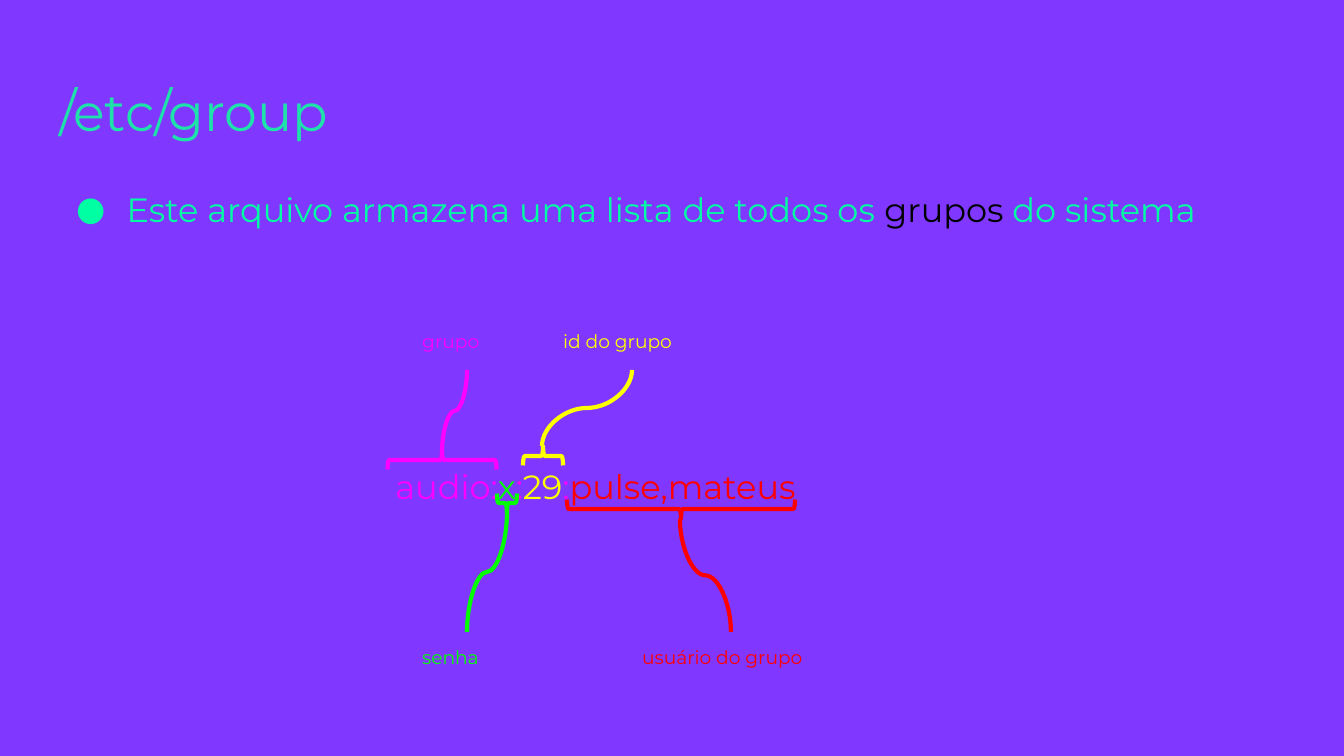
"""Build the slide that explains the fields of an /etc/group entry."""
from dataclasses import dataclass

from lxml.etree import SubElement
from pptx import Presentation
from pptx.dml.color import RGBColor
from pptx.enum.shapes import MSO_CONNECTOR, MSO_SHAPE
from pptx.enum.text import MSO_ANCHOR, MSO_AUTO_SIZE, PP_ALIGN
from pptx.oxml.ns import qn
from pptx.util import Emu, Pt

EMU_PER_PX = 914400 / 134.4
FONT = "Montserrat"
COLORS = {
    "background": "8037FF",
    "title": "1EE2AA",
    "body": "00FFA2",
    "emphasis": "000000",
    "group": "FF00FF",
    "password": "00FF00",
    "id": "FFFF00",
    "users": "FF0000",
}
BRACE_DEPTH = 19
LABEL_HEIGHT = 54
LABEL_TOP_ABOVE = 316
LABEL_TOP_BELOW = 632


@dataclass(frozen=True)
class Field:
    """One annotated field: its label, brace and curved connector."""
    color: str
    label: str
    label_left: int
    label_width: int
    above: bool
    brace_x: int
    brace_y: int
    brace_span: int
    curve_top: tuple[int, int]
    curve_bottom: tuple[int, int]


FIELDS = [
    Field("group", "grupo", 409, 117, True, 442, 460, 109, (467, 370), (442, 452)),
    Field("id", "id do grupo", 550, 163, True, 543, 456, 40, (632, 370), (542, 446)),
    Field("password", "senha", 409, 117, False, 507, 503, 20, (507, 512), (467, 632)),
    Field("users", "usuário do grupo", 629, 204, False, 681, 509, 228, (680, 519), (731, 632)),
]
SENTENCE = [
    ("Este arquivo armazena uma lista de todos os ", "body"),
    ("grupos", "emphasis"),
    (" do sistema", "body"),
]
ENTRY = [
    ("audio:", "group"),
    ("x", "password"),
    (":", "group"),
    ("29", "id"),
    (":", "group"),
    ("pulse,mateus", "users"),
]


def px(value: float) -> Emu:
    """Turn pixels into EMU."""
    return Emu(round(value * EMU_PER_PX))


def rgb(name: str) -> RGBColor:
    """Look up a named colour."""
    return RGBColor.from_string(COLORS[name])


def format_run(run, size: int, color: str) -> None:
    """Set the font, size and colour of a run."""
    run.font.name = FONT
    run.font.size = Pt(size)
    run.font.color.rgb = rgb(color)


def place(shape, left: int, top: int, width: int, height: int) -> None:
    """Move a text shape and give it even insets."""
    shape.left, shape.top, shape.width, shape.height = map(px, (left, top, width, height))
    frame = shape.text_frame
    frame.word_wrap = True
    frame.auto_size = MSO_AUTO_SIZE.NONE
    frame.vertical_anchor = MSO_ANCHOR.TOP
    frame.margin_left = frame.margin_right = frame.margin_top = frame.margin_bottom = Pt(7.2)


def write_runs(paragraph, parts: list[tuple[str, str]], margin: int, indent: int, before: int) -> None:
    """Fill a body paragraph with coloured runs and set its spacing and indents."""
    for text, color in parts:
        run = paragraph.add_run()
        run.text = text
        format_run(run, 18, color)
    paragraph.alignment = PP_ALIGN.LEFT
    paragraph.line_spacing = 1.15
    paragraph.space_before = Pt(before)
    properties = paragraph._p.get_or_add_pPr()
    properties.set("marL", str(Pt(margin)))
    properties.set("indent", str(Pt(indent)))


def fill_body(body) -> None:
    """Write the bulleted sentence and the sample entry."""
    place(body, 46, 169, 1253, 503)
    sentence = body.text_frame.paragraphs[0]
    write_runs(sentence, SENTENCE, 36, -27, 0)
    properties = sentence._p.get_or_add_pPr()
    bullet_color = SubElement(properties, qn("a:buClr"))
    SubElement(bullet_color, qn("a:srgbClr"), val=COLORS["body"])
    SubElement(properties, qn("a:buFont"), typeface=FONT)
    SubElement(properties, qn("a:buChar"), char="●")
    entry = body.text_frame.add_paragraph()
    write_runs(entry, ENTRY, 144, 36, 124)
    SubElement(entry._p.get_or_add_pPr(), qn("a:buNone"))


def draw_brace(slide, field: Field) -> None:
    """Draw the brace that spans a field, pointing to its label."""
    left = field.brace_x - BRACE_DEPTH / 2
    top = field.brace_y - field.brace_span / 2
    brace = slide.shapes.add_shape(
        MSO_SHAPE.LEFT_BRACE, px(left), px(top), px(BRACE_DEPTH), px(field.brace_span))
    brace.rotation = 90 if field.above else 270
    brace.shadow.inherit = False
    brace.fill.background()
    brace.line.color.rgb = rgb(field.color)
    brace.line.width = Pt(2.25)


def draw_label(slide, field: Field) -> None:
    """Draw the label of a field."""
    label = slide.shapes.add_textbox(0, 0, 0, 0)
    top = LABEL_TOP_ABOVE if field.above else LABEL_TOP_BELOW
    place(label, field.label_left, top, field.label_width, LABEL_HEIGHT)
    label.text_frame.text = field.label
    format_run(label.text_frame.paragraphs[0].runs[0], 10, field.color)


def draw_curve(slide, field: Field) -> None:
    """Draw a curve that leaves both ends vertically, by a quarter turn about its centre."""
    (top_x, top_y), (bottom_x, bottom_y) = field.curve_top, field.curve_bottom
    center_x, center_y = (top_x + bottom_x) / 2, (top_y + bottom_y) / 2
    half_length, half_shift = (bottom_y - top_y) / 2, (bottom_x - top_x) / 2
    curve = slide.shapes.add_connector(
        MSO_CONNECTOR.CURVE,
        px(center_x - half_length), px(center_y + half_shift),
        px(center_x + half_length), px(center_y - half_shift))
    curve.line.color.rgb = rgb(field.color)
    curve.line.width = Pt(2.25)
    properties = curve._element.spPr
    properties.find(qn("a:xfrm")).set("rot", str(90 * 60000))
    SubElement(properties, qn("a:effectLst"))


def main() -> None:
    """Build and save the presentation."""
    presentation = Presentation()
    presentation.slide_width, presentation.slide_height = px(1344), px(756)
    slide = presentation.slides.add_slide(presentation.slide_layouts[1])
    slide.background.fill.solid()
    slide.background.fill.fore_color.rgb = rgb("background")

    title = slide.shapes.title
    place(title, 46, 66, 1253, 85)
    title.text_frame.text = "/etc/group"
    title.text_frame.paragraphs[0].alignment = PP_ALIGN.LEFT
    format_run(title.text_frame.paragraphs[0].runs[0], 28, "title")
    fill_body(slide.placeholders[1])

    for draw in (draw_brace, draw_label, draw_curve):
        for field in FIELDS:
            draw(slide, field)
    presentation.save("out.pptx")


if __name__ == "__main__":
    main()
